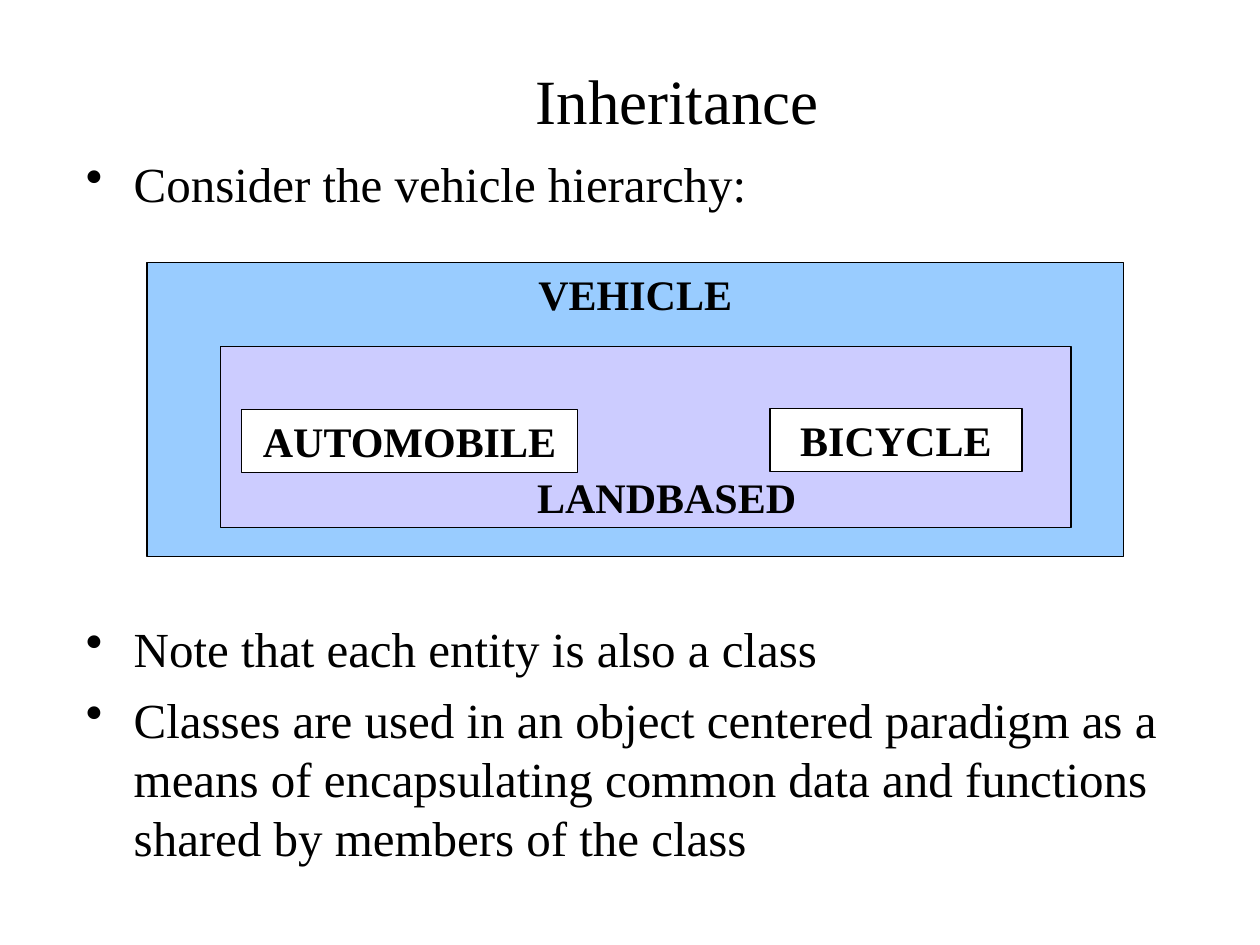
from lxml import etree
from pptx import Presentation
from pptx.dml.color import RGBColor
from pptx.enum.shapes import MSO_SHAPE
from pptx.enum.text import MSO_ANCHOR, PP_ALIGN
from pptx.oxml.ns import qn
from pptx.util import Inches, Pt

RECTANGLE = MSO_SHAPE.RECTANGLE
TOP, MIDDLE, BOTTOM = MSO_ANCHOR.TOP, MSO_ANCHOR.MIDDLE, MSO_ANCHOR.BOTTOM
LEFT, CENTER = PP_ALIGN.LEFT, PP_ALIGN.CENTER

# The slide is a grid of 120 columns by 90 rows
SLIDE_WIDTH, SLIDE_HEIGHT = Inches(10), Inches(7.5)
COLUMN, ROW = SLIDE_WIDTH / 120, SLIDE_HEIGHT / 90

FONT = "Times New Roman"
LINE_HEIGHT = 1.2  # share of the font size
HANGING = Inches(0.38)
COLORS = {
    "text": "000000",
    "outline": "000000",
    "vehicle": "99CCFF",
    "landbased": "CCCCFF",
    "entity": "FFFFFF",
}

# Class name, grid cell (left, top, width, height), colour, anchor, left inset
CLASSES = [
    ("VEHICLE", (14, 25, 93, 28), "vehicle", TOP, 0.1),
    ("LANDBASED", (21, 33, 81, 17.25), "landbased", BOTTOM, 0.43),
    ("AUTOMOBILE", (23, 39, 32, 6), "entity", TOP, 0.1),
    ("BICYCLE", (73.33, 38.9, 24, 6), "entity", TOP, 0.1),
]

# Bullet text and the space before it in points; the diagram fills the wide one
BULLETS = [
    ("Consider the vehicle hierarchy:", 0),
    ("Note that each entity is also a class", 232.5),
    ("Classes are used in an object centered paradigm as a means of "
     "encapsulating common data and functions shared by members of the class", 7),
]


def color(key):
    return RGBColor.from_string(COLORS[key])


def place(cell):
    left, top, width, height = cell
    return (round(left * COLUMN), round(top * ROW),
            round(width * COLUMN), round(height * ROW))


def set_frame(frame, anchor, left_inset=0.1):
    frame.word_wrap = True
    frame.vertical_anchor = anchor
    frame.margin_left, frame.margin_right = Inches(left_inset), Inches(0.1)
    frame.margin_top = frame.margin_bottom = Inches(0.05)


def write(paragraph, text, size, align, bold=False):
    paragraph.alignment = align
    paragraph.line_spacing = Pt(size * LINE_HEIGHT)
    run = paragraph.add_run()
    run.text = text
    run.font.name = FONT
    run.font.size = Pt(size)
    run.font.bold = bold
    run.font.color.rgb = color("text")


def add_bullet(paragraph):
    properties = paragraph._p.get_or_add_pPr()
    properties.set("marL", str(HANGING))
    properties.set("indent", str(-HANGING))
    etree.SubElement(properties, qn("a:buChar")).set("char", "•")


def add_title(slide, text, cell):
    frame = slide.shapes.add_textbox(*place(cell)).text_frame
    set_frame(frame, MIDDLE)
    write(frame.paragraphs[0], text, 36, CENTER)


def add_class(slide, name, cell, fill, anchor, left_inset):
    box = slide.shapes.add_shape(RECTANGLE, *place(cell))
    box.shadow.inherit = False
    box.fill.solid()
    box.fill.fore_color.rgb = color(fill)
    box.line.color.rgb = color("outline")
    box.line.width = Pt(0.75)
    set_frame(box.text_frame, anchor, left_inset)
    write(box.text_frame.paragraphs[0], name, 24, CENTER, bold=True)


def add_bullets(slide, bullets, cell):
    frame = slide.shapes.add_textbox(*place(cell)).text_frame
    set_frame(frame, TOP)
    for index, (text, space) in enumerate(bullets):
        paragraph = frame.add_paragraph() if index else frame.paragraphs[0]
        add_bullet(paragraph)
        paragraph.space_before = Pt(space)
        write(paragraph, text, 28, LEFT)


def main():
    deck = Presentation()
    deck.slide_width, deck.slide_height = SLIDE_WIDTH, SLIDE_HEIGHT
    slide = deck.slides.add_slide(deck.slide_layouts[6])

    add_title(slide, "Inheritance", (9, 5, 111, 9))

    # Nested class diagram, outermost class first
    for vehicle_class in CLASSES:
        add_class(slide, *vehicle_class)

    # Bullets above and below the diagram
    add_bullets(slide, BULLETS, (7, 14, 107, 71))

    deck.save("out.pptx")


if __name__ == "__main__":
    main()
